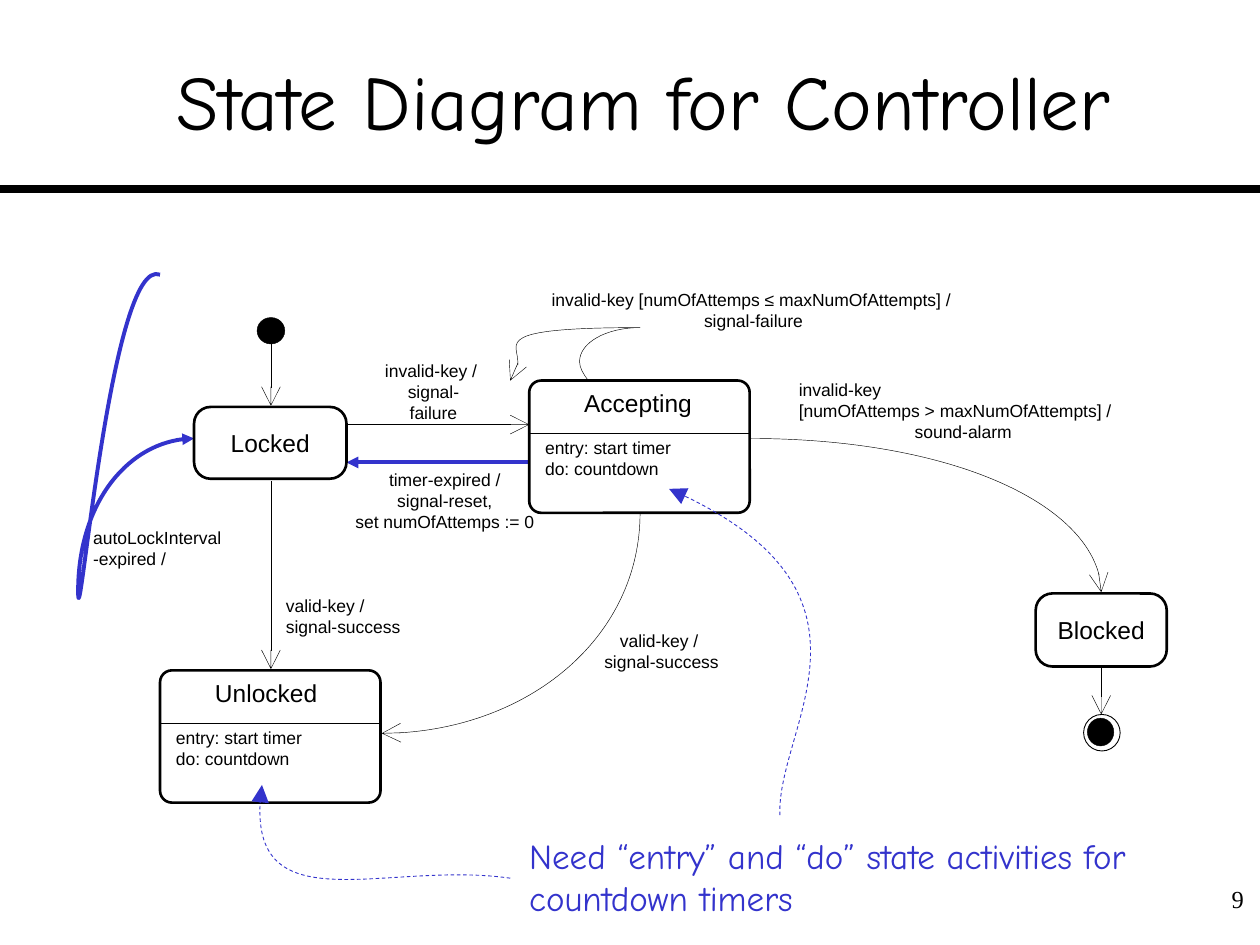
import lxml.etree
import pptx
import pptx.dml.color
import pptx.enum.dml
import pptx.enum.shapes
import pptx.enum.text
import pptx.oxml.ns
import pptx.util

Inches = pptx.util.Inches
Pt = pptx.util.Pt
qn = pptx.oxml.ns.qn
Shape = pptx.enum.shapes.MSO_SHAPE
Anchor = pptx.enum.text.MSO_ANCHOR
Align = pptx.enum.text.PP_ALIGN
LEFT, MID, RIGHT = Align.LEFT, Align.CENTER, Align.RIGHT
BLACK, WHITE, BLUE = "000000", "FFFFFF", "3333CC"


def paint(target, color):
    target.rgb = pptx.dml.color.RGBColor.from_string(color)


def fill(shape, color):
    shape.fill.solid()
    paint(shape.fill.fore_color, color)


def stroke(shape, color, width, head=None, dash=False):
    shape.line.width = Pt(width)
    shape.line.fill.solid()
    paint(shape.line.fill.fore_color, color)
    if dash:
        shape.line.dash_style = pptx.enum.dml.MSO_LINE.DASH
    if head:
        size = "lg" if width < 1 else "med"
        line = shape.element.spPr.find(qn("a:ln"))
        lxml.etree.SubElement(line, qn("a:tailEnd"), type=head, w=size, len=size)


def frame(shape, pads, anchor=Anchor.TOP, wrap=True):
    body = shape.text_frame
    body.word_wrap = wrap
    body.vertical_anchor = anchor
    body.margin_left = body.margin_right = Inches(pads[0])
    body.margin_top, body.margin_bottom = Inches(pads[1]), Inches(pads[2])
    return body


def write(body, lines, size, align=LEFT, font="Arial", color=BLACK):
    for pos, text in enumerate(lines):
        para = body.paragraphs[0] if pos == 0 else body.add_paragraph()
        para.alignment = align
        run = para.add_run()
        run.text = text
        run.font.name = font
        run.font.size = Pt(size)
        paint(run.font.color, color)
    return body.paragraphs


def indent(para, inches):
    props = para._p.get_or_add_pPr()
    props.set("marL", str(Inches(inches)))
    props.set("indent", "0")


def label(slide, box, lines, align=LEFT):
    shape = slide.shapes.add_textbox(*map(Inches, box))
    return write(frame(shape, (0.01, 0, 0), wrap=False), lines, 10, align)


def link(slide, start, end, head=None, color=BLACK, width=0.25):
    line = slide.shapes.add_connector(
        pptx.enum.shapes.MSO_CONNECTOR.STRAIGHT, *map(Inches, start + end))
    stroke(line, color, width, head)
    lxml.etree.SubElement(line.element.spPr, qn("a:effectLst"))


def curve(slide, points, head="arrow", color=BLACK, width=0.25, dash=False):
    spots = [tuple(map(Inches, point)) for point in points]
    maker = slide.shapes.build_freeform(*spots[0])
    maker.add_line_segments(spots[1:], close=False)
    shape = maker.convert_to_shape()
    route = shape.element.spPr.find(".//" + qn("a:path"))
    steps = route.findall(qn("a:lnTo"))
    for pos in range(0, len(steps), 3):
        bend = lxml.etree.SubElement(route, qn("a:cubicBezTo"))
        for step in steps[pos:pos + 3]:
            bend.append(step[0])
            route.remove(step)
    shape.shadow.inherit = False
    shape.fill.background()
    stroke(shape, color, width, head, dash)


def block(slide, kind, box, color, width):
    shape = slide.shapes.add_shape(kind, *map(Inches, box))
    shape.shadow.inherit = False
    fill(shape, color)
    stroke(shape, BLACK, width)
    return shape


def state(slide, name, box):
    shape = block(slide, Shape.ROUNDED_RECTANGLE, box, WHITE, 1.5)
    shape.adjustments[0] = 0.23
    write(frame(shape, (0.1, 0.05, 0.05), Anchor.MIDDLE, False), [name], 14, MID)


def timed(slide, name, left, top):
    width = 1.75
    shape = block(slide, Shape.ROUNDED_RECTANGLE, (left, top, width, 1.05), WHITE, 1.5)
    shape.adjustments[0] = 0.09
    lines = [name, "entry: start timer", "do: countdown"]
    paras = write(frame(shape, (0.1, 0.03, 0)), lines, 10)
    paras[0].runs[0].font.size = Pt(14)
    indent(paras[0], 0.31)
    paras[1].space_before = Pt(11.5)
    link(slide, (left, top + 0.42), (left + width, top + 0.42))


def heading(slide):
    title = slide.shapes.title
    title.left, title.top, title.width, title.height = map(
        Inches, (0.42, 0.17, 9.38, 1.25))
    body = frame(title, (0, 0.05, 0.05), Anchor.MIDDLE)
    write(body, ["State Diagram for Controller"], 44, MID, "Comic Neue")
    link(slide, (0, 1.5), (10, 1.5), width=4.5)
    page = slide.shapes.add_textbox(*map(Inches, (9.35, 6.97, 0.62, 0.5)))
    write(frame(page, (0.1, 0.05, 0.05)), ["9"], 14, RIGHT, "Times New Roman")


def moves(slide):
    curve(slide, [(5.08, 4.07), (5.08, 5.04), (4.16, 5.82), (3.03, 5.82)])
    curve(slide, [(5.95, 3.48), (7.49, 3.48), (8.74, 4.03), (8.74, 4.7)])
    curve(slide, [(4.67, 3.02), (4.63, 2.97), (4.6, 2.92), (4.6, 2.87),
                  (4.6, 2.72), (4.81, 2.6), (5.08, 2.6),
                  (3.9, 2.6), (4.11, 2.72), (4.11, 2.87),
                  (4.11, 2.92), (4.09, 2.97), (4.05, 3.02)])
    curve(slide, [(1.27, 2.18), (0.88, 2.02), (0.62, 5.21), (0.62, 4.69),
                  (0.62, 4.02), (1.03, 3.48), (1.54, 3.48)],
          "triangle", BLUE, 2.25)
    for start, end in [((2.75, 3.37), (4.2, 3.37)), ((2.15, 3.82), (2.15, 5.31)),
                       ((2.15, 2.73), (2.15, 3.22)), ((8.74, 5.29), (8.74, 5.67))]:
        link(slide, start, end, "arrow")
    link(slide, (4.2, 3.67), (2.75, 3.67), "triangle", BLUE, 2.25)


def labels(slide):
    label(slide, (4.35, 2.29, 3.26, 0.33),
          ["invalid-key [numOfAttemps ≤ maxNumOfAttempts] / ", "signal-failure"], MID)
    label(slide, (3.04, 2.86, 0.8, 0.33), ["invalid-key / ", "signal-failure"], MID)
    alarm = label(slide, (6.33, 3.01, 2.54, 0.5),
                  ["invalid-key", "[numOfAttemps > maxNumOfAttempts] /", "sound-alarm"])
    indent(alarm[2], 0.92)
    label(slide, (0.73, 4.18, 1.04, 0.33), ["autoLockInterval", "-expired /"])
    label(slide, (2.81, 3.72, 1.44, 0.5),
          ["timer-expired /", "signal-reset,", "set numOfAttemps := 0"], MID)
    label(slide, (2.26, 4.72, 0.93, 0.33), ["valid-key /", "signal-success"])
    label(slide, (4.67, 5, 1.16, 0.33), ["valid-key / ", "signal-success"], MID)


def states(slide):
    block(slide, Shape.OVAL, (2.04, 2.52, 0.22, 0.21), BLACK, 0.25)
    block(slide, Shape.OVAL, (8.6, 5.67, 0.29, 0.29), WHITE, 0.5)
    block(slide, Shape.OVAL, (8.63, 5.7, 0.21, 0.22), BLACK, 0.25)
    state(slide, "Blocked", (8.22, 4.71, 1.04, 0.58))
    state(slide, "Locked", (1.54, 3.23, 1.21, 0.57))
    timed(slide, "Accepting", 4.2, 3.02)
    timed(slide, "Unlocked", 1.27, 5.32)


def remark(slide):
    note = slide.shapes.add_textbox(*map(Inches, (4.19, 6.62, 4.97, 0.67)))
    text = "Need “entry” and “do” state activities for countdown timers"
    write(frame(note, (0.01, 0, 0)), [text], 20, LEFT, "Comic Neue", BLUE)
    for points in [[(6.19, 6.47), (6.16, 5.78), (7.16, 4.69), (5.31, 3.88)],
                   [(4.05, 6.97), (3.08, 6.83), (1.91, 7.38), (2.08, 6.23)]]:
        curve(slide, points, "triangle", BLUE, 0.5, True)


def main():
    deck = pptx.Presentation()
    deck.slide_width, deck.slide_height = Inches(10), Inches(7.5)
    slide = deck.slides.add_slide(deck.slide_layouts[5])
    heading(slide)
    moves(slide)
    labels(slide)
    states(slide)
    remark(slide)
    deck.save("out.pptx")


if __name__ == "__main__":
    main()
